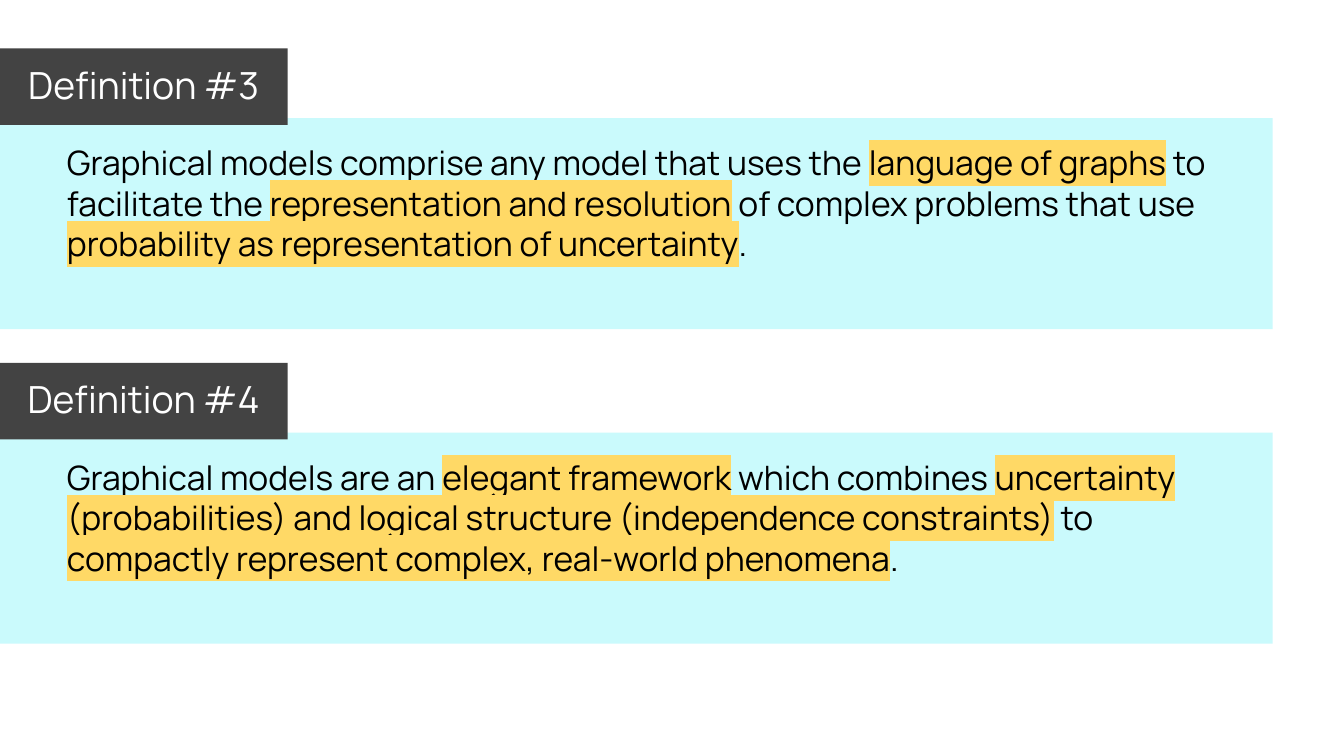
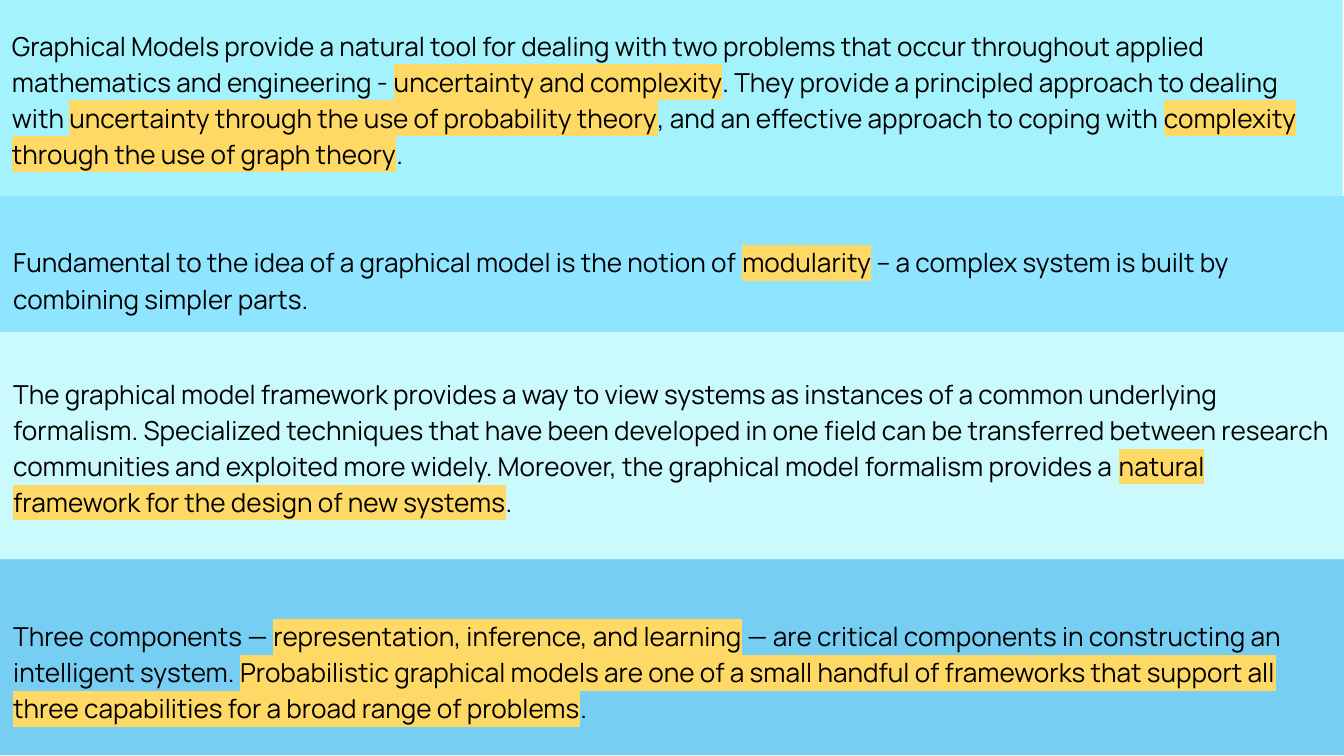
from dataclasses import dataclass

from lxml import etree
from pptx import Presentation
from pptx.dml.color import RGBColor
from pptx.enum import shapes, text
from pptx.oxml import ns
from pptx.util import Inches, Pt


@dataclass(frozen=True)
class Theme:
    """Fonts, type sizes and colours shared by the slides."""
    font: str = "Manrope"
    tag_size: int = 20
    definition_size: int = 18
    band_size: int = 14
    ink: str = "000000"
    paper: str = "FFFFFF"
    tag: str = "434343"
    marker: str = "FFD966"
    pale: str = "CAFAFC"
    aqua: str = "A4F2FC"
    sky: str = "8FE4FF"
    blue: str = "76CFF3"


T = Theme()
WIDTH = 10
HEIGHT = WIDTH * 9 / 16
INSET = 0.1

DEFINITIONS = [
    ("Definition #3",
     "Graphical models comprise any model that uses the *language of graphs* to "
     "facilitate the *representation and resolution* of complex problems that use "
     "*probability as representation of uncertainty*."),
    ("Definition #4",
     "Graphical models are an *elegant framework* which combines *uncertainty "
     "(probabilities) and logical structure (independence constraints)* to "
     "*compactly represent complex, real-world phenomena*."),
]

BANDS = [
    (-0.01, -0.01, 1.47, T.aqua, INSET,
     "Graphical Models provide a natural tool for dealing with two problems that occur "
     "throughout applied mathematics and engineering - *uncertainty and complexity*. They "
     "provide a principled approach to dealing with *uncertainty through the use of "
     "probability theory*, and an effective approach to coping with *complexity through "
     "the use of graph theory*."),
    (0, 1.46, 1.22, T.sky, INSET,
     "Fundamental to the idea of a graphical model is the notion of *modularity* -- a "
     "complex system is built by combining simpler parts."),
    (0, 4.15, 1.47, T.blue, 0.3,
     "Three components — *representation, inference, and learning* — are critical "
     "components in constructing an intelligent system. *Probabilistic graphical models "
     "are one of a small handful of frameworks that support all three capabilities for a "
     "broad range of problems*."),
    (0, 2.47, 1.69, T.pale, INSET,
     "The graphical model framework provides a way to view systems as instances of a "
     "common underlying formalism. Specialized techniques that have been developed in one "
     "field can be transferred between research communities and exploited more widely. "
     "Moreover, the graphical model formalism provides a *natural framework for the design "
     "of new systems*."),
]


def highlight(r, color):
    """Put a marker colour behind a run."""
    mark = etree.Element(ns.qn("a:highlight"))
    etree.SubElement(mark, ns.qn("a:srgbClr")).set("val", color)
    r.font._element.find(ns.qn("a:solidFill")).addnext(mark)


def write(sp, words, size, color=T.ink, align=text.PP_ALIGN.LEFT,
          anchor=text.MSO_ANCHOR.TOP, top=INSET, line=None, after=None):
    """Fill a shape with one paragraph; words between asterisks are highlighted."""
    tf = sp.text_frame
    tf.word_wrap = True
    tf.vertical_anchor = anchor
    tf.margin_left = tf.margin_right = tf.margin_bottom = Inches(INSET)
    tf.margin_top = Inches(top)
    p = tf.paragraphs[0]
    p.alignment = align
    if line:
        p.line_spacing = line
    if after:
        p.space_after = Pt(after)
    for i, part in enumerate(words.split("*")):
        r = p.add_run()
        r.text = part
        r.font.size = Pt(size)
        r.font.color.rgb = RGBColor.from_string(color)
        r.font.name = T.font
        if i % 2:
            highlight(r, T.marker)


def add_rect(s, x, y, w, h, fill):
    """Add a plain filled rectangle."""
    sp = s.shapes.add_shape(shapes.MSO_SHAPE.RECTANGLE,
                            Inches(x), Inches(y), Inches(w), Inches(h))
    sp.shadow.inherit = False
    sp.fill.solid()
    sp.fill.fore_color.rgb = RGBColor.from_string(fill)
    sp.line.fill.background()
    return sp


def add_definition(s, x, y, w, h, title, body):
    """Place a panel with a title tag over its top left corner."""
    add_rect(s, x, y + 0.52, w, h - 0.52, T.pale)
    tag = add_rect(s, x, y, 2.14, 0.57, T.tag)
    write(tag, title, T.tag_size, color=T.paper, align=text.PP_ALIGN.CENTER)
    box = s.shapes.add_textbox(Inches(x + 0.4), Inches(y + 0.6),
                               Inches(w - 0.48), Inches(1.33))
    write(box, body, T.definition_size)


def add_band(s, x, y, w, h, fill, top, body):
    """Place a full-width coloured band with its statement."""
    write(add_rect(s, x, y, w, h, fill), body, T.band_size,
          anchor=text.MSO_ANCHOR.MIDDLE, top=top, line=1.15, after=16)


def definitions_slide(prs):
    """Build the slide of stacked definitions."""
    s = prs.slides.add_slide(prs.slide_layouts[6])
    for i, (title, body) in enumerate(DEFINITIONS):
        add_definition(s, 0, 0.36 + 2.34 * i, 9.47, 2.09, title, body)


def bands_slide(prs):
    """Build the slide of coloured statement bands."""
    s = prs.slides.add_slide(prs.slide_layouts[6])
    for x, y, h, fill, top, body in BANDS:
        add_band(s, x, y, WIDTH, h, fill, top, body)


def main():
    """Build and save the presentation."""
    prs = Presentation()
    prs.slide_width, prs.slide_height = Inches(WIDTH), Inches(HEIGHT)
    definitions_slide(prs)
    bands_slide(prs)
    prs.save("out.pptx")


if __name__ == "__main__":
    main()
